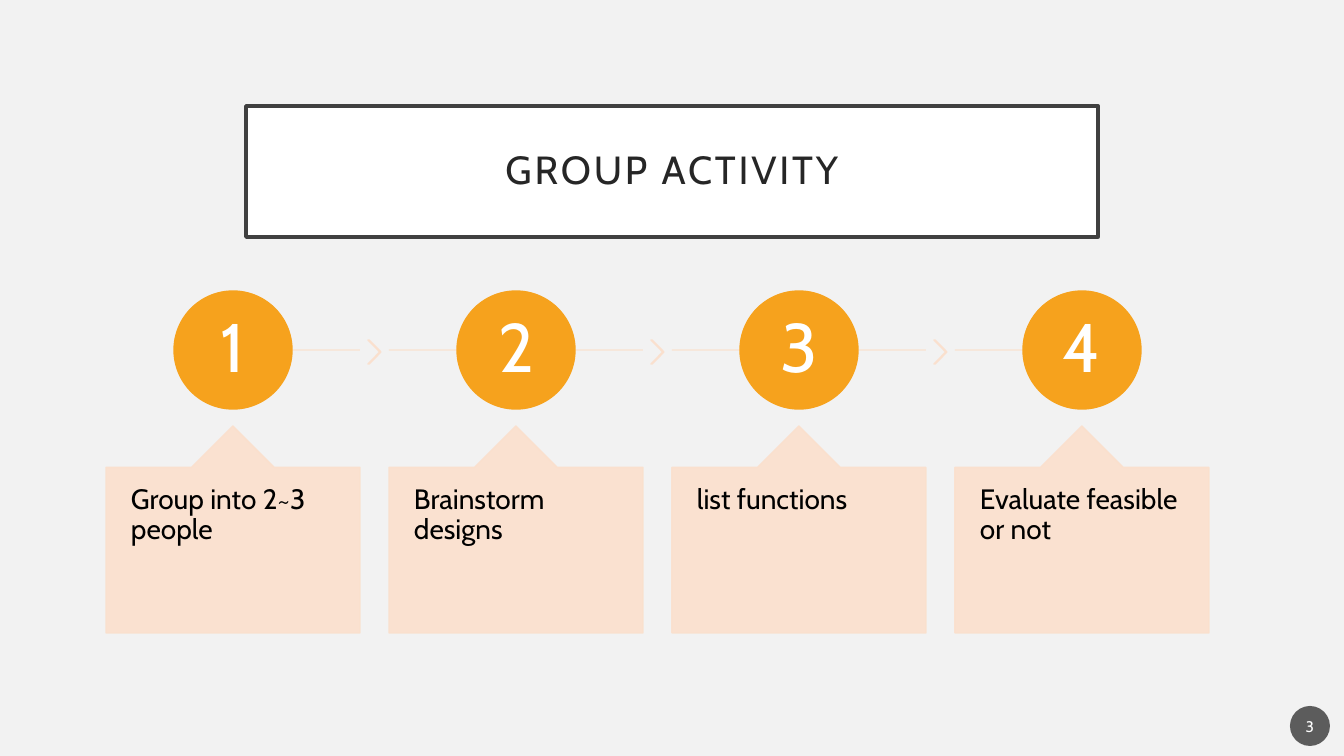
from lxml.etree import SubElement
from pptx import Presentation
from pptx.dml.color import RGBColor
from pptx.enum.shapes import MSO_CONNECTOR as CONN, MSO_SHAPE as SHAPE
from pptx.enum.text import MSO_ANCHOR as ANCHOR, MSO_AUTO_SIZE as AUTO, PP_ALIGN as ALIGN
from pptx.oxml.ns import qn
from pptx.util import Pt

TITLE = "GROUP ACTIVITY"
STEPS = ["Group into 2~3 people", "Brainstorm designs", "list functions", "Evaluate feasible or not"]
PAGE = "3"

FONT = "Cabin"
PEACH, ORANGE, WHITE = "FBE0CD", "F6A21D", "FFFFFF"
SCALE = 914400 / 100.8

LEFT, PITCH, CARD_W = 106, 283, 254
RAIL_Y = 350
CIRCLE, NUMBER = 118, 83
CHEVRON_W, CHEVRON_H, CHEVRON_DX = 13, 24, 262
CARD_Y, CARD_H, POINT_H = 426, 207, 41


def px(n):
    return round(n * SCALE)


def paint(color_format, color, alpha=None):
    color_format.fore_color.rgb = RGBColor.from_string(color)
    if alpha:
        clr = color_format._xPr.find(".//" + qn("a:srgbClr"))
        SubElement(clr, qn("a:alpha")).set("val", str(alpha * 1000))


def style(sp, fill, line=None, width=1, alpha=None):
    sp.fill.solid()
    paint(sp.fill, fill, alpha)
    if line:
        sp.line.width = Pt(width)
        sp.line.fill.solid()
        paint(sp.line.fill, line, alpha)
    else:
        sp.line.fill.background()


def shape(kind, x, y, w, h, fill, line=None, alpha=None, adj=()):
    sp = s.shapes.add_shape(kind, px(x), px(y), px(w), px(h))
    sp.shadow.inherit = False
    for i, value in enumerate(adj):
        sp.adjustments[i] = value
    style(sp, fill, line, alpha=alpha)
    return sp


def rail(x1, x2):
    line = s.shapes.add_connector(CONN.STRAIGHT, px(x1), px(RAIL_Y), px(x2), px(RAIL_Y))
    line.line.width = Pt(1)
    line.line.fill.solid()
    paint(line.line.fill, PEACH, 90)
    SubElement(line._element.spPr, qn("a:effectLst"))


def write(sp, text, size, color, align=ALIGN.LEFT, anchor=ANCHOR.MIDDLE, inset=(5, 5), leading=0.9, spc=None):
    tf = sp.text_frame
    tf.word_wrap = True
    tf.auto_size = AUTO.NONE
    tf.vertical_anchor = anchor
    tf.margin_left = tf.margin_right = px(inset[0])
    tf.margin_top = tf.margin_bottom = px(inset[1])
    p = tf.paragraphs[0]
    p.alignment = align
    p.line_spacing = leading
    r = p.add_run()
    r.text = text
    r.font.name = FONT
    r.font.size = Pt(size)
    r.font.color.rgb = RGBColor.from_string(color)
    if spc:
        r.font._element.set("spc", str(spc * 100))


def box(x, y, w, h, text, size, color, **fmt):
    write(s.shapes.add_textbox(px(x), px(y), px(w), px(h)), text, size, color, **fmt)


prs = Presentation()
prs.slide_width, prs.slide_height = px(1344), px(756)
s = prs.slides.add_slide(prs.slide_layouts[5])
s.background.fill.solid()
paint(s.background.fill, "F2F2F2")

title = s.shapes.title
title.left, title.top, title.width, title.height = px(246), px(106), px(852), px(131)
style(title, WHITE, "404040", 2.5)
write(title, TITLE, 28, "262626", align=ALIGN.CENTER, inset=(20, 20), spc=2)

last = len(STEPS) - 1
for i, step in enumerate(STEPS):
    x = LEFT + i * PITCH
    mid = x + CARD_W / 2
    rail(mid if i == 0 else x, mid if i == last else x + CARD_W)
    if i < last:
        shape(SHAPE.CHEVRON, x + CHEVRON_DX, RAIL_Y + 2 - CHEVRON_H / 2, CHEVRON_W, CHEVRON_H,
              PEACH, PEACH, 90, [0.9])
    shape(SHAPE.OVAL, mid - CIRCLE / 2, RAIL_Y - CIRCLE / 2, CIRCLE, CIRCLE, ORANGE, ORANGE)
    box(mid - NUMBER / 2, RAIL_Y - NUMBER / 2, NUMBER, NUMBER, str(i + 1), 49, WHITE, align=ALIGN.CENTER)
    shape(SHAPE.UP_ARROW_CALLOUT, x, CARD_Y, CARD_W, CARD_H, PEACH, PEACH, 90, [0.5, 0.2, 0.2, 1])
    box(x, CARD_Y + POINT_H, CARD_W, CARD_H - POINT_H, step, 20, "000000", anchor=ANCHOR.TOP, inset=(25, 18))

badge = shape(SHAPE.OVAL, 1290, 706, 40, 40, "1D1D1D", alpha=70)
write(badge, PAGE, 11, WHITE, align=ALIGN.CENTER, inset=(2, 5), leading=1.0)

prs.save("out.pptx")
